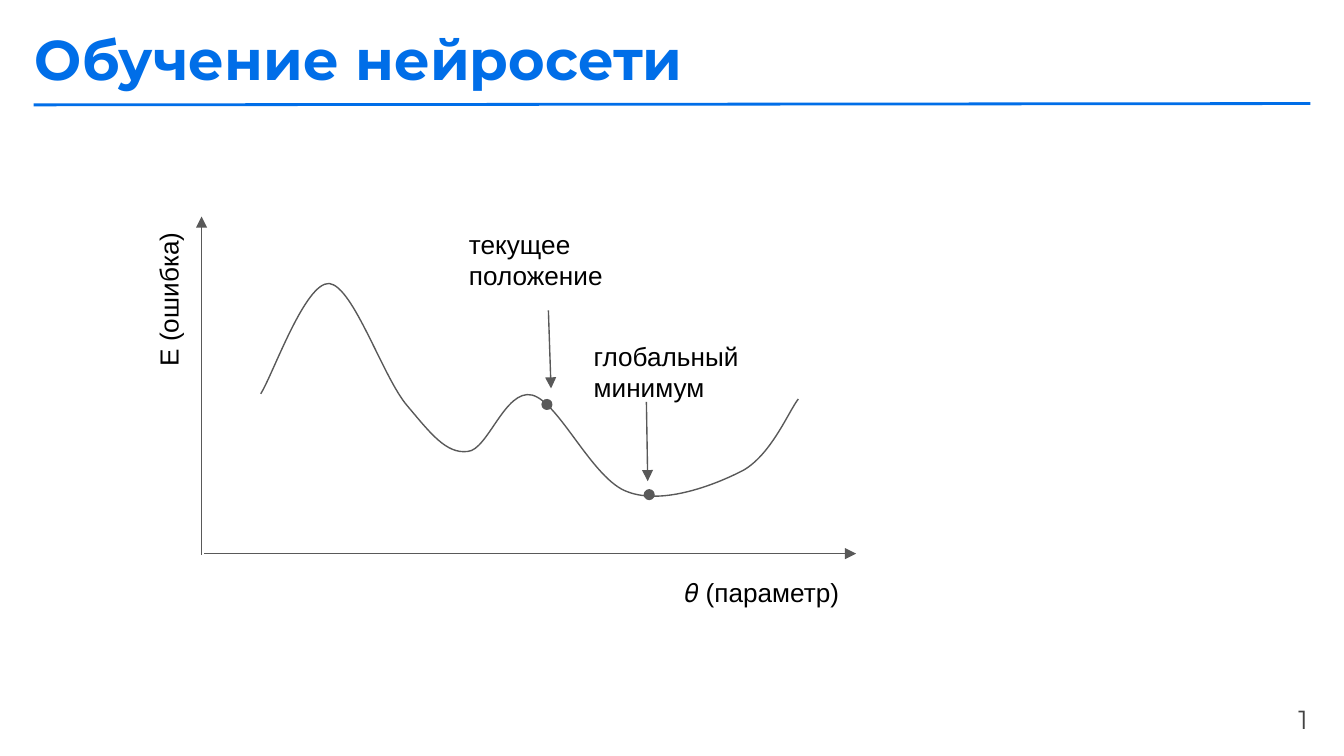
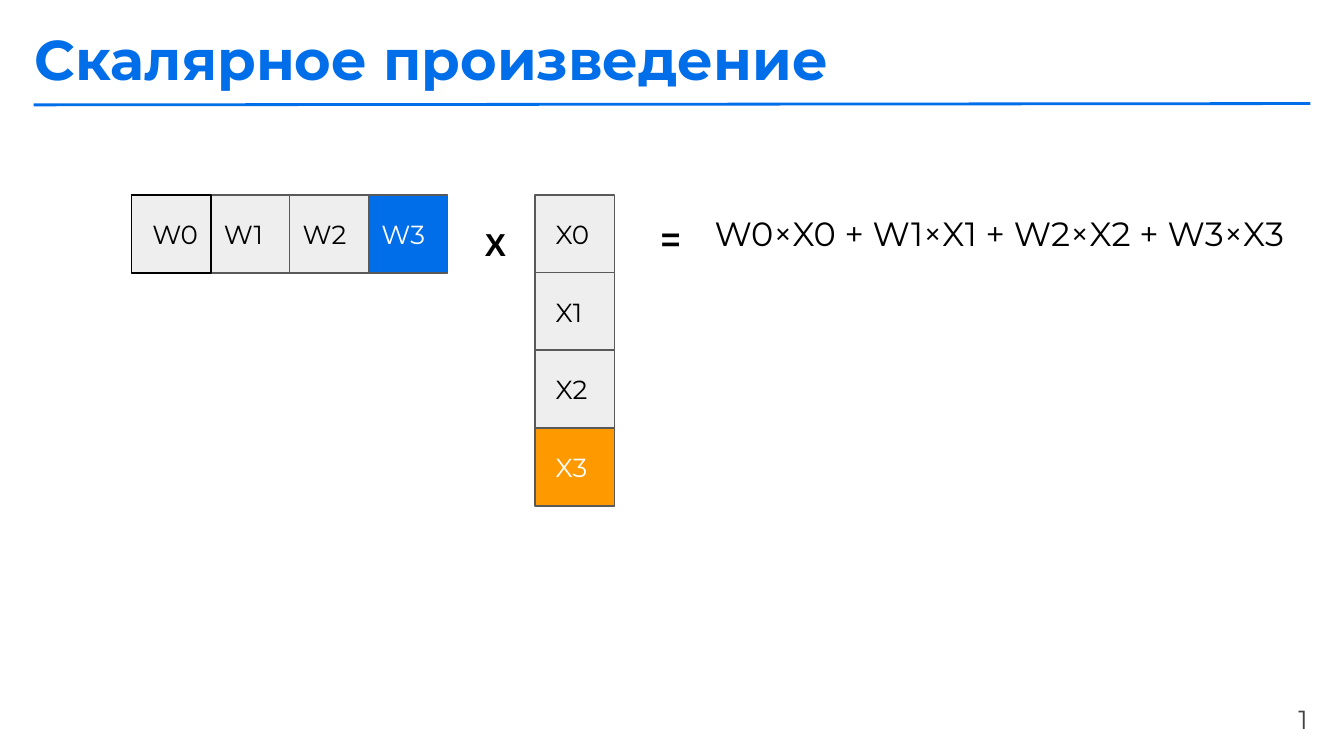
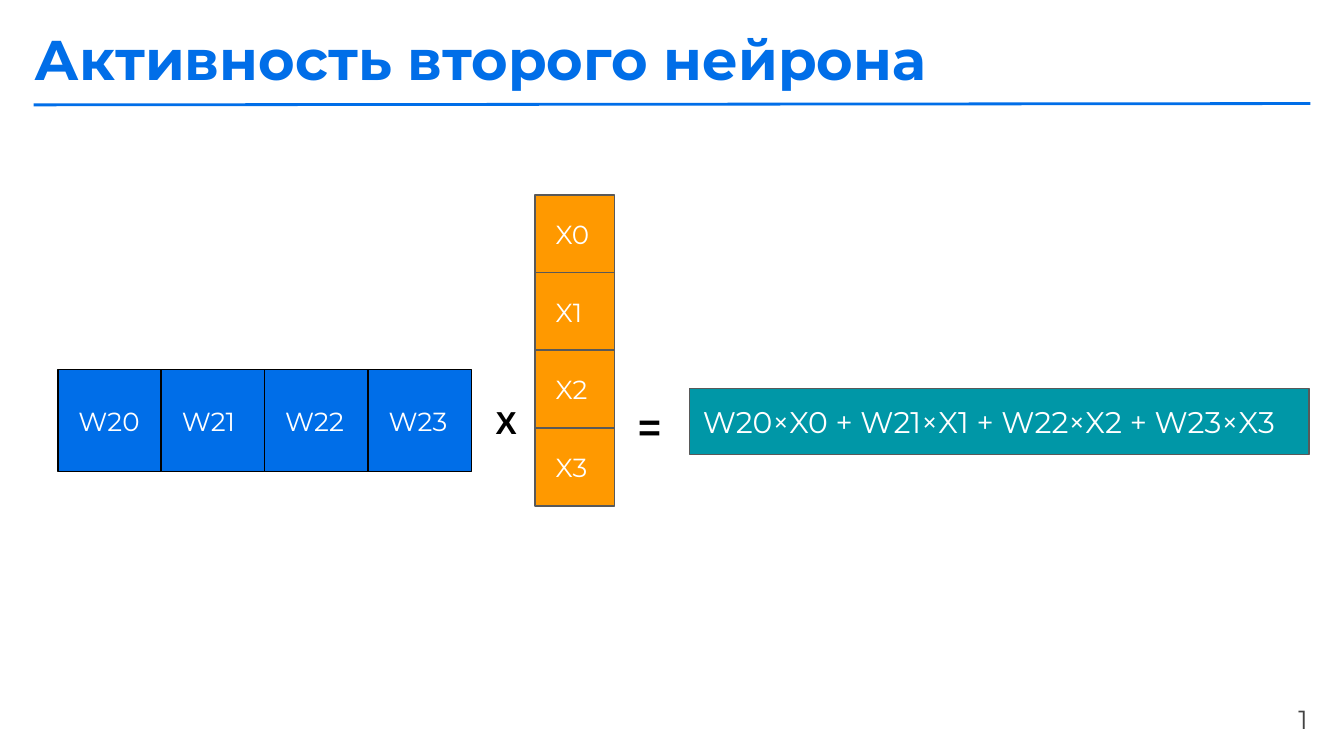
"""Build three slides on neural network training and dot products."""
from dataclasses import dataclass
from typing import Optional

import pptx
import pptx.dml.color
import pptx.enum.shapes
import pptx.enum.text
import pptx.oxml.ns
import pptx.oxml.xmlchemy
import pptx.presentation
import pptx.shapes.base
import pptx.slide
import pptx.text.text
import pptx.util

Pt = pptx.util.Pt
RGBColor = pptx.dml.color.RGBColor
Align = pptx.enum.text.PP_ALIGN
Anchor = pptx.enum.text.MSO_ANCHOR
qn = pptx.oxml.ns.qn

BLUE = RGBColor(0x00, 0x6E, 0xE8)
ORANGE = RGBColor(0xFF, 0x99, 0x00)
TEAL = RGBColor(0x00, 0x97, 0xA7)
LIGHT = RGBColor(0xEE, 0xEE, 0xEE)
GREY = RGBColor(0x59, 0x59, 0x59)
DARK = RGBColor(0x43, 0x43, 0x43)
BLACK = RGBColor(0x00, 0x00, 0x00)
WHITE = RGBColor(0xFF, 0xFF, 0xFF)

SANS = "Arial"
BRAND = "Montserrat"
INSET = 7.2
INDENT = 11
CELL = 42.5
STEP = 42.2
DROP = 41.6
TOP = 104.4
WIDE = 55.4

CURVE = (
    (139.7, 211), (146.2, 200.9), (163.4, 151.2), (176.4, 151.9),
    (189.4, 153.4), (205.2, 202.3), (218.2, 217.4),
    (230.4, 231.8), (239, 243.4), (250.6, 241.9),
    (261.4, 241.2), (270.7, 208.1), (285.1, 211.7),
    (299.5, 215.3), (317.5, 257), (336.2, 263.5),
    (355, 270.7), (383, 259.9), (398.2, 252),
    (413.3, 243.4), (422.6, 220.3), (427.7, 213.8),
)


@dataclass(frozen=True)
class Label:
    """Plain text at a place."""
    text: str
    left: float
    top: float
    width: float
    height: float
    size: float = 14
    font: str = SANS
    ink: RGBColor = BLACK
    bold: bool = False
    align: Align = Align.LEFT
    turn: float = 0


@dataclass(frozen=True)
class Cell:
    """Filled box with text in its middle line."""
    text: str
    left: float
    top: float
    width: float
    height: float
    fill: RGBColor
    ink: RGBColor = WHITE
    edge: RGBColor = GREY
    inset: float = INDENT
    size: float = 14


@dataclass(frozen=True)
class Line:
    """Straight line with an optional end mark."""
    x1: float
    y1: float
    x2: float
    y2: float
    tail: Optional[str] = None
    ink: RGBColor = GREY
    width: float = 0.75


RULE = Line(18, 56.2, 702, 55.5, None, BLUE, 1.5)
NUMBER = Label("1", 665.3, 369.4, 42.5, 28, font=BRAND, ink=DARK, align=Align.RIGHT)
GRAPH = (
    Line(108, 297.4, 108, 116, "triangle"),
    Line(109.4, 296.6, 458.6, 296.6, "triangle"),
    Line(346.3, 215.3, 347, 257.8, "triangle"),
    Line(345.6, 265, 347.8, 265, "oval"),
    Line(291.6, 217.4, 293, 216.7, "oval"),
    Line(293.8, 166.3, 295.2, 208.1, "triangle"),
)
NOTES = (
    Label("E (ошибка)", 64.8, 126, 87.1, 67.7, turn=270),
    Label("𝜃 (параметр)", 360, 301.7, 121.7, 67.7),
    Label("глобальный минимум", 311, 175, 148.3, 41.8),
    Label("текущее положение", 244.1, 115.2, 121.7, 41.8),
)


def style(frame: pptx.text.text.TextFrame, text: str, size: float, font: str,
          ink: RGBColor, bold: bool = False, align: Align = Align.LEFT,
          anchor: Anchor = Anchor.TOP, left: float = INSET) -> None:
    """Fill a text frame and format it."""
    frame.text = text
    frame.word_wrap = True
    frame.auto_size = pptx.enum.text.MSO_AUTO_SIZE.NONE
    frame.vertical_anchor = anchor
    frame.margin_left = Pt(left)
    frame.margin_right = Pt(max(0, 2 * INSET - left))
    frame.margin_top = frame.margin_bottom = Pt(INSET)
    for para in frame.paragraphs:
        para.alignment = align
        for run in para.runs:
            run.font.size = Pt(size)
            run.font.name = font
            run.font.bold = bold
            run.font.color.rgb = ink


def place(shape: pptx.shapes.base.BaseShape, left: float, top: float,
          width: float, height: float) -> None:
    """Move and size a shape."""
    shape.left, shape.top = Pt(left), Pt(top)
    shape.width, shape.height = Pt(width), Pt(height)


def add_label(slide: pptx.slide.Slide, item: Label) -> None:
    """Draw a label."""
    box = slide.shapes.add_textbox(Pt(item.left), Pt(item.top), Pt(item.width), Pt(item.height))
    box.rotation = item.turn
    style(box.text_frame, item.text, item.size, item.font, item.ink, item.bold, item.align)


def add_cell(slide: pptx.slide.Slide, item: Cell) -> None:
    """Draw a filled cell."""
    box = slide.shapes.add_shape(
        pptx.enum.shapes.MSO_SHAPE.RECTANGLE,
        Pt(item.left), Pt(item.top), Pt(item.width), Pt(item.height))
    box.shadow.inherit = False
    box.fill.solid()
    box.fill.fore_color.rgb = item.fill
    box.line.color.rgb = item.edge
    box.line.width = Pt(0.75)
    style(box.text_frame, item.text, item.size, BRAND, item.ink,
          anchor=Anchor.MIDDLE, left=item.inset)


def add_line(slide: pptx.slide.Slide, item: Line) -> None:
    """Draw a straight line."""
    line = slide.shapes.add_connector(
        pptx.enum.shapes.MSO_CONNECTOR.STRAIGHT,
        Pt(item.x1), Pt(item.y1), Pt(item.x2), Pt(item.y2))
    line.line.color.rgb = item.ink
    line.line.width = Pt(item.width)
    props = line.element.spPr
    if item.tail:
        mark = pptx.oxml.xmlchemy.OxmlElement("a:tailEnd")
        mark.set("type", item.tail)
        props.find(qn("a:ln")).append(mark)
    props.append(pptx.oxml.xmlchemy.OxmlElement("a:effectLst"))


def add_curve(slide: pptx.slide.Slide) -> None:
    """Draw the error curve, each three points making one cubic arc."""
    points = [(Pt(x), Pt(y)) for x, y in CURVE]
    pen = slide.shapes.build_freeform(*points[0])
    pen.add_line_segments(points[1:], close=False)
    shape = pen.convert_to_shape()
    shape.shadow.inherit = False
    shape.fill.background()
    shape.line.color.rgb = GREY
    shape.line.width = Pt(0.75)
    steps = list(shape.element.iter(qn("a:lnTo")))
    for start in range(0, len(steps), 3):
        arc = pptx.oxml.xmlchemy.OxmlElement("a:cubicBezTo")
        steps[start].addprevious(arc)
        for step in steps[start:start + 3]:
            arc.append(step[0])
            step.getparent().remove(step)


def add_stack(slide: pptx.slide.Slide, bright: range) -> None:
    """Draw the column of inputs with some of them in orange."""
    for i in range(4):
        lit = i in bright
        add_cell(slide, Cell(f"X{i}", 286.6, TOP + i * DROP, CELL, 41.8,
                             ORANGE if lit else LIGHT, WHITE if lit else BLACK))


def add_page(deck: pptx.presentation.Presentation, title: str) -> pptx.slide.Slide:
    """Add a slide with the shared title, rule and number."""
    slide = deck.slides.add_slide(deck.slide_layouts[5])
    head = slide.shapes.title
    place(head, 11.5, 5.8, 540.7, 50.4)
    style(head.text_frame, title, 30, BRAND, BLUE, bold=True)
    add_line(slide, RULE)
    add_label(slide, NUMBER)
    return slide


def draw_graph(deck: pptx.presentation.Presentation) -> None:
    """Build the slide with the error curve."""
    slide = add_page(deck, "Обучение нейросети")
    add_curve(slide)
    for line in GRAPH:
        add_line(slide, line)
    for note in NOTES:
        add_label(slide, note)


def draw_dot(deck: pptx.presentation.Presentation) -> None:
    """Build the slide with the dot product."""
    slide = add_page(deck, "Скалярное произведение")
    for i in reversed(range(4)):
        first, last = i == 0, i == 3
        add_cell(slide, Cell(f"W{i}", 70.6 + i * STEP, TOP, CELL, 41.8,
                             BLUE if last else LIGHT, WHITE if last else BLACK,
                             BLACK if first else GREY, INDENT if first else INSET))
    add_label(slide, Label("X", 252.7, 113, 24.5, 28, 17, bold=True))
    add_stack(slide, range(3, 4))
    add_label(slide, Label("=", 347, 109.4, 28.8, 35.3, 18, bold=True))
    add_label(slide, Label("W0×X0 + W1×X1 + W2×X2 + W3×X3",
                           375.8, 106.6, 328.3, 41.8, 18, BRAND))


def draw_second(deck: pptx.presentation.Presentation) -> None:
    """Build the slide with the second neuron."""
    slide = add_page(deck, "Активность второго нейрона")
    for i in range(4):
        add_cell(slide, Cell(f"W2{i}", 31 + i * WIDE, 198, WIDE, 54.7, BLUE, edge=BLACK))
    add_label(slide, Label("X", 258.5, 208.8, 24.5, 28, 17, bold=True))
    add_stack(slide, range(4))
    add_label(slide, Label("=", 334.8, 208.1, 28.8, 35.3, 21, bold=True))
    add_cell(slide, Cell("W20×X0 + W21×X1 + W22×X2 + W23×X3",
                         369.4, 208.1, 331.9, 35.3, TEAL, inset=INSET, size=16))


def main() -> None:
    """Build and save the deck."""
    deck = pptx.Presentation()
    deck.slide_width, deck.slide_height = Pt(720), Pt(405)
    draw_graph(deck)
    draw_dot(deck)
    draw_second(deck)
    deck.save("out.pptx")


if __name__ == "__main__":
    main()
